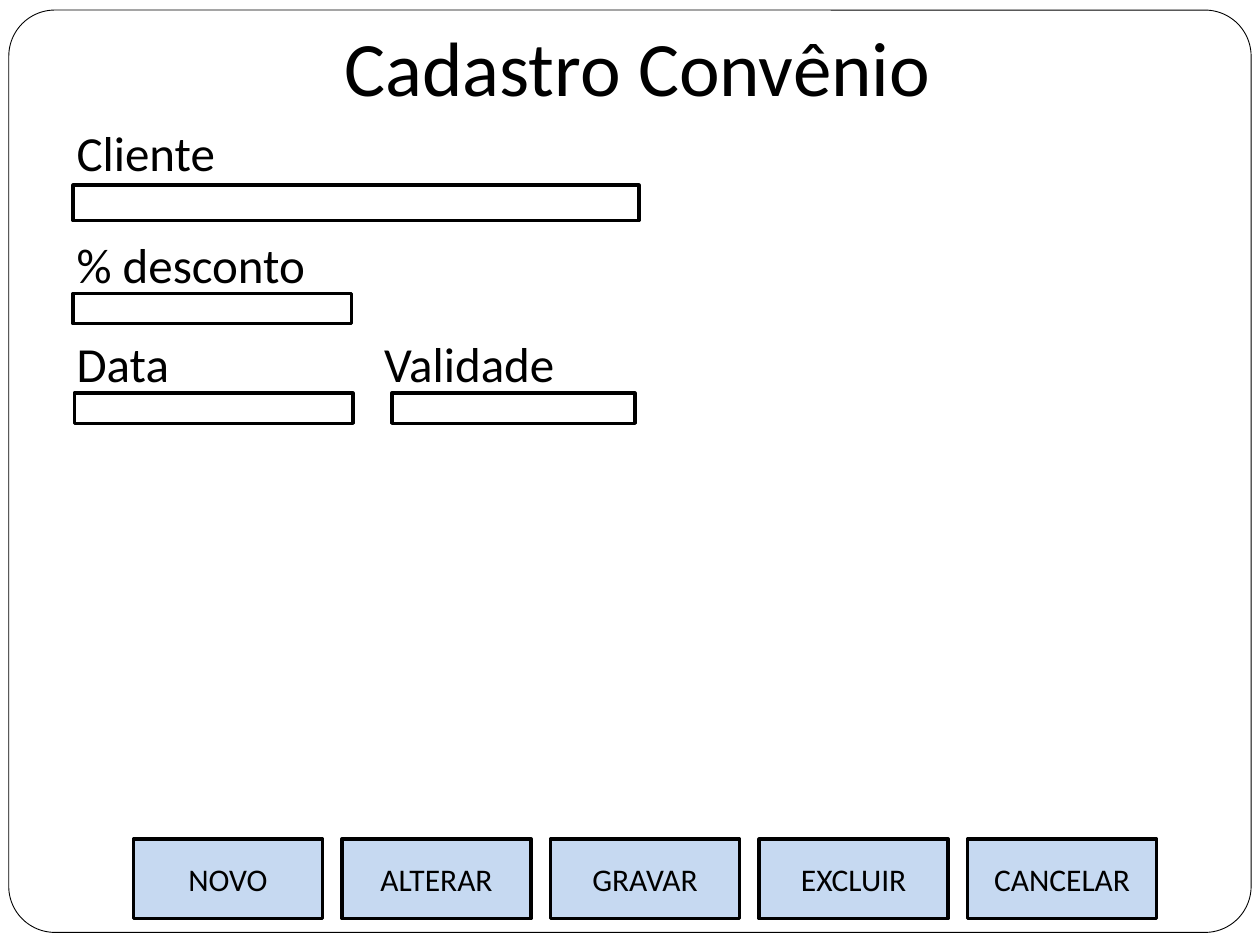
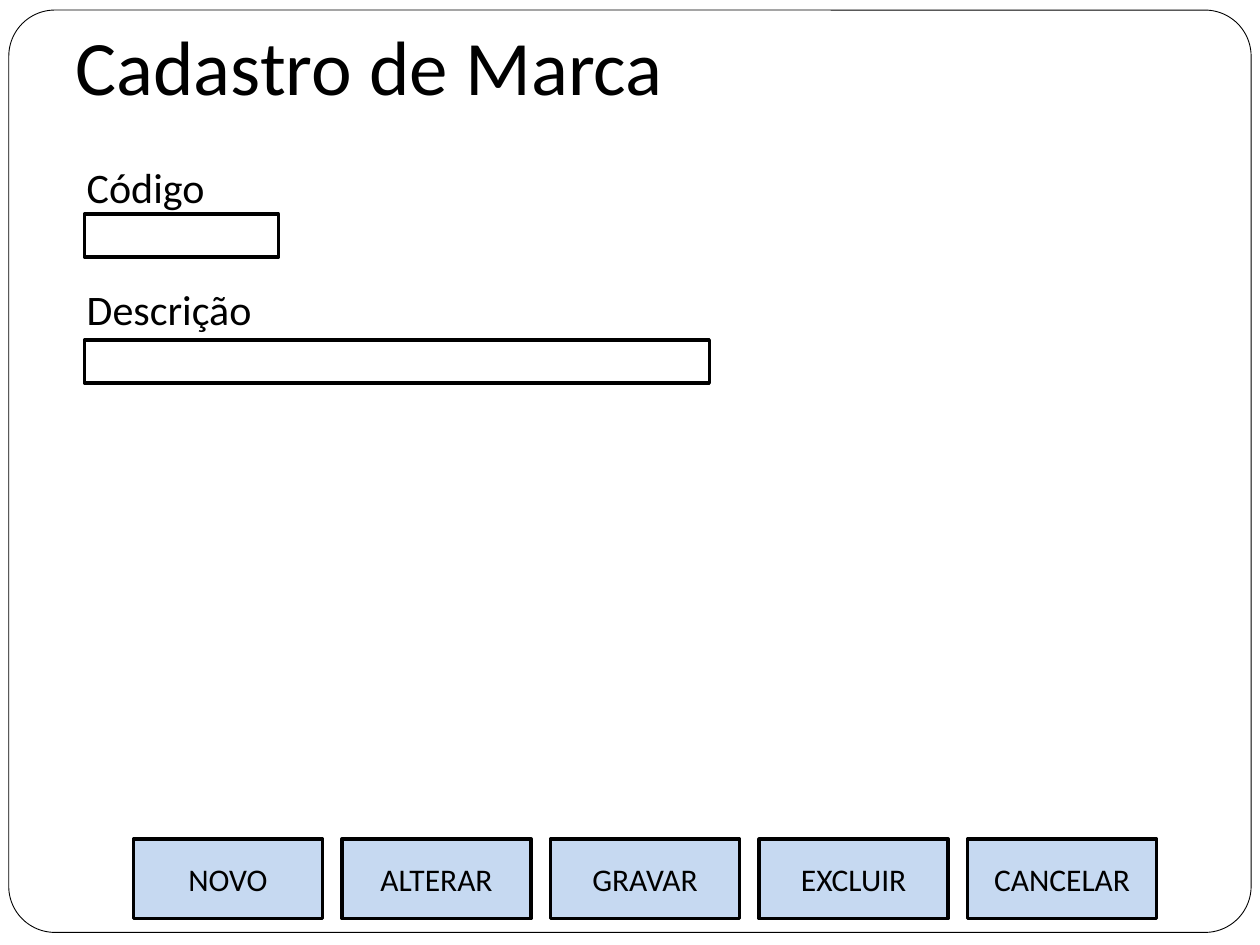
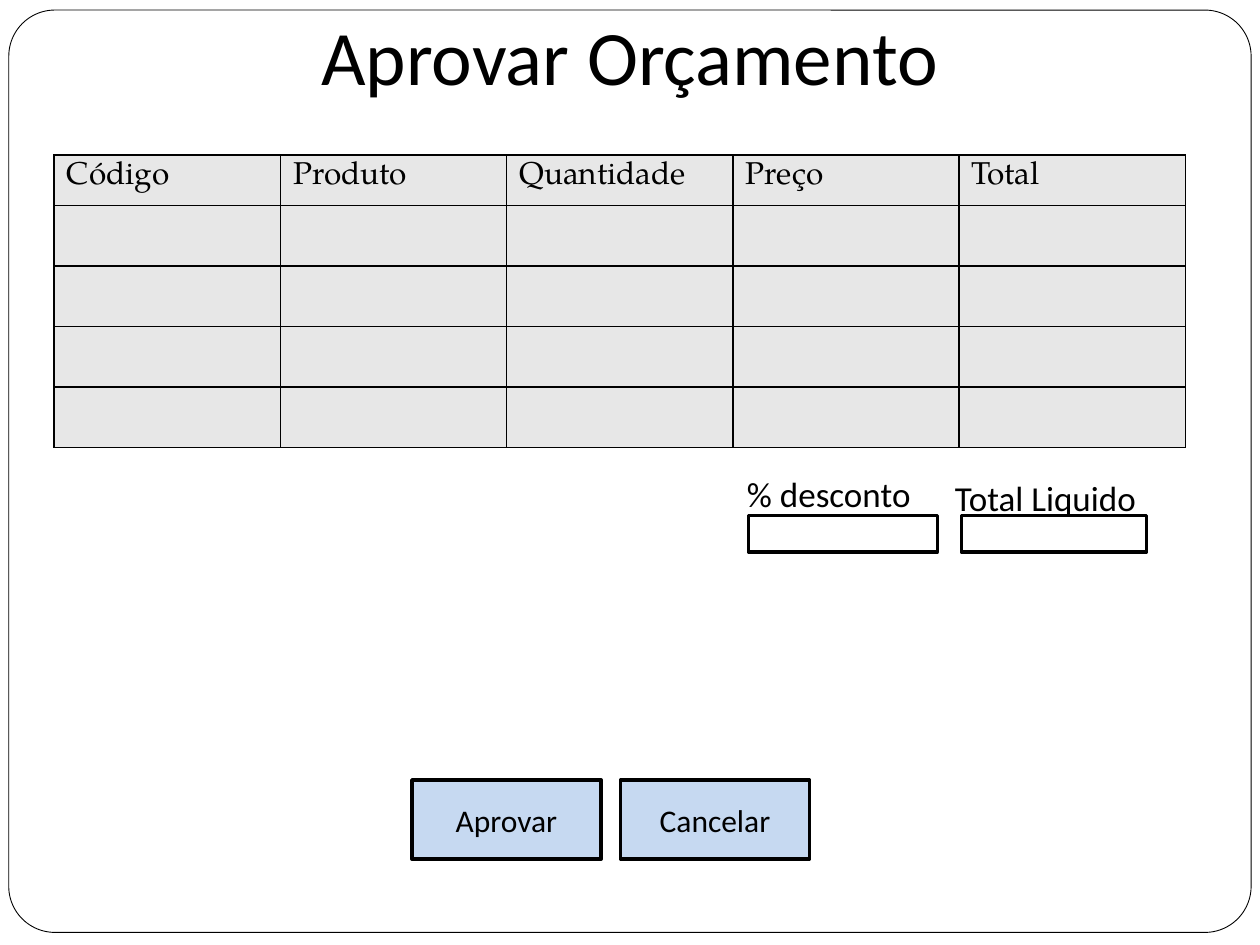
"""Builds three registration and approval screens as slides."""
from typing import NamedTuple

from lxml import etree
from pptx import Presentation
from pptx.dml.color import RGBColor
from pptx.enum.shapes import MSO_SHAPE
from pptx.enum.text import MSO_ANCHOR, MSO_AUTO_SIZE, PP_ALIGN
from pptx.oxml.ns import qn
from pptx.util import Inches, Pt

RECT, ROUNDED = MSO_SHAPE.RECTANGLE, MSO_SHAPE.ROUNDED_RECTANGLE
LEFT, CENTER = PP_ALIGN.LEFT, PP_ALIGN.CENTER
MIDDLE, TOP = MSO_ANCHOR.MIDDLE, MSO_ANCHOR.TOP
NO_FIT = MSO_AUTO_SIZE.NONE
BLACK = RGBColor(0x00, 0x00, 0x00)
WHITE = RGBColor(0xFF, 0xFF, 0xFF)
BUTTON_BLUE = RGBColor(0xC6, 0xD9, 0xF1)
CELL_GREY = RGBColor(0xE7, 0xE7, 0xE7)
FONT, TABLE_FONT = "Calibri", "TeX Gyre Pagella"
COLUMNS, ROWS = 100, 75
SLIDE_W, SLIDE_H = Inches(10), Inches(7.5)
LABEL_H, BUTTON_W, BUTTON_H, BUTTON_PITCH = 4.4, 15, 6.3, 16.55
EDGES = ("a:lnL", "a:lnR", "a:lnT", "a:lnB")


class Box(NamedTuple):
    """A rectangle in grid columns and rows."""
    col: float
    row: float
    width: float
    height: float

    def emu(self) -> tuple[int, int, int, int]:
        """Return left, top, width and height in EMU."""
        cw, rh = SLIDE_W / COLUMNS, SLIDE_H / ROWS
        return (round(self.col * cw), round(self.row * rh),
                round(self.width * cw), round(self.height * rh))


class Field(NamedTuple):
    """An input box and its label."""
    label: str
    label_at: Box
    entry: Box


class Screen(NamedTuple):
    """A titled form with a row of buttons."""
    title: str
    title_at: Box
    align: PP_ALIGN
    label_size: int
    fields: list[Field]
    buttons: list[str]
    buttons_col: float
    buttons_row: float
    headers: tuple[str, ...] = ()


ACTIONS = ["NOVO", "ALTERAR", "GRAVAR", "EXCLUIR", "CANCELAR"]
SCREENS = [
    Screen("Cadastro Convênio", Box(5.6, 1.3, 90, 7.9), CENTER, 28, [
        Field("Cliente", Box(5.1, 9.2, 47.9, LABEL_H), Box(5.8, 14.7, 44.9, 2.8)),
        Field("% desconto", Box(5.1, 18.1, 22.8, LABEL_H), Box(5.8, 23.3, 22.1, 2.4)),
        Field("Data", Box(5.1, 26, 22.8, LABEL_H), Box(5.9, 31.2, 22.1, 2.4)),
        Field("Validade", Box(29.5, 26, 22.8, LABEL_H), Box(31.1, 31.2, 19.3, 2.4)),
    ], ACTIONS, 10.6, 66.6),
    Screen("Cadastro de Marca", Box(5, 1.2, 90, 7.9), LEFT, 24, [
        Field("Código", Box(5.9, 12.3, 23.6, LABEL_H), Box(6.7, 17, 15.4, 3.4)),
        Field("Descrição", Box(5.9, 22, 23.6, LABEL_H), Box(6.7, 27, 49.6, 3.4)),
    ], ACTIONS, 10.6, 66.6),
    Screen("Aprovar Orçamento", Box(5, -0.3, 90, 9.3), CENTER, 20, [
        Field("% desconto", Box(58.3, 37, 22.8, LABEL_H), Box(59.4, 40.9, 15, 2.9)),
        Field("Total Liquido", Box(74.8, 37.3, 22.8, LABEL_H), Box(76.3, 40.9, 14.7, 2.9)),
    ], ["Aprovar", "Cancelar"], 32.7, 61.9,
        ("Código", "Produto", "Quantidade", "Preço", "Total")),
]


def write(tf, text: str, size: int, align=LEFT, anchor=TOP, font: str = FONT) -> None:
    """Fill a text frame with one formatted paragraph."""
    tf.text = text
    tf.word_wrap = True
    tf.vertical_anchor = anchor
    p = tf.paragraphs[0]
    p.alignment = align
    p.font.size, p.font.name = Pt(size), font
    p.font.color.rgb = BLACK


def add_box(s, box: Box, fill: RGBColor, line: float = 2, preset=RECT):
    """Draw an outlined, filled shape."""
    sp = s.shapes.add_shape(preset, *box.emu())
    sp.shadow.inherit = False
    sp.fill.solid()
    sp.fill.fore_color.rgb = fill
    sp.line.color.rgb = BLACK
    sp.line.width = Pt(line)
    return sp


def move_frame_to_master(prs, s) -> None:
    """Draw the rounded page frame and hand it to the slide master."""
    sp = add_box(s, Box(0.7, 0.8, 98.6, 73.2), WHITE, 0.5, ROUNDED)
    sp.adjustments[0] = 0.05
    sp.element.find(".//" + qn("p:cNvPr")).set("id", "100")
    prs.slide_master.shapes.element.insert(2, sp.element)


def add_field(s, field: Field, size: int) -> None:
    """Draw an empty input box with its label."""
    add_box(s, field.entry, WHITE)
    sp = s.shapes.add_textbox(*field.label_at.emu())
    write(sp.text_frame, field.label, size)


def add_buttons(s, screen: Screen) -> None:
    """Draw a row of equally spaced buttons."""
    for i, text in enumerate(screen.buttons):
        col = screen.buttons_col + i * BUTTON_PITCH
        sp = add_box(s, Box(col, screen.buttons_row, BUTTON_W, BUTTON_H), BUTTON_BLUE)
        write(sp.text_frame, text, 18, CENTER, MIDDLE)


def style_cell(cell) -> None:
    """Give a cell black borders and a grey fill."""
    tcPr = cell._tc.get_or_add_tcPr()
    for edge in EDGES:
        ln = etree.SubElement(tcPr, qn(edge), w=str(Pt(1)))
        fill = etree.SubElement(ln, qn("a:solidFill"))
        etree.SubElement(fill, qn("a:srgbClr"), val=str(BLACK))
    cell.fill.solid()
    cell.fill.fore_color.rgb = CELL_GREY


def add_items_table(s, headers: tuple[str, ...]) -> None:
    """Draw the table of quoted items with four empty rows."""
    box = Box(4.3, 12.3, 89.8, 23.1)
    table = s.shapes.add_table(5, len(headers), *box.emu()).table
    for i, row in enumerate(table.rows):
        row.height = Inches(0.48 if i else 0.4)
        for cell in row.cells:
            style_cell(cell)
    for cell, text in zip(table.rows[0].cells, headers):
        write(cell.text_frame, text, 18, font=TABLE_FONT)


def add_screen(prs, screen: Screen):
    """Add one slide with its title, fields, table and buttons."""
    s = prs.slides.add_slide(prs.slide_layouts[5])
    title = s.shapes.title
    title.left, title.top, title.width, title.height = screen.title_at.emu()
    write(title.text_frame, screen.title, 44, screen.align, MIDDLE)
    title.text_frame.auto_size = NO_FIT
    if screen.headers:
        add_items_table(s, screen.headers)
    for field in screen.fields:
        add_field(s, field, screen.label_size)
    add_buttons(s, screen)
    return s


def main() -> None:
    """Build and save the presentation."""
    prs = Presentation()
    prs.slide_width, prs.slide_height = SLIDE_W, SLIDE_H
    slides = [add_screen(prs, screen) for screen in SCREENS]
    move_frame_to_master(prs, slides[0])
    prs.save("out.pptx")


main()
